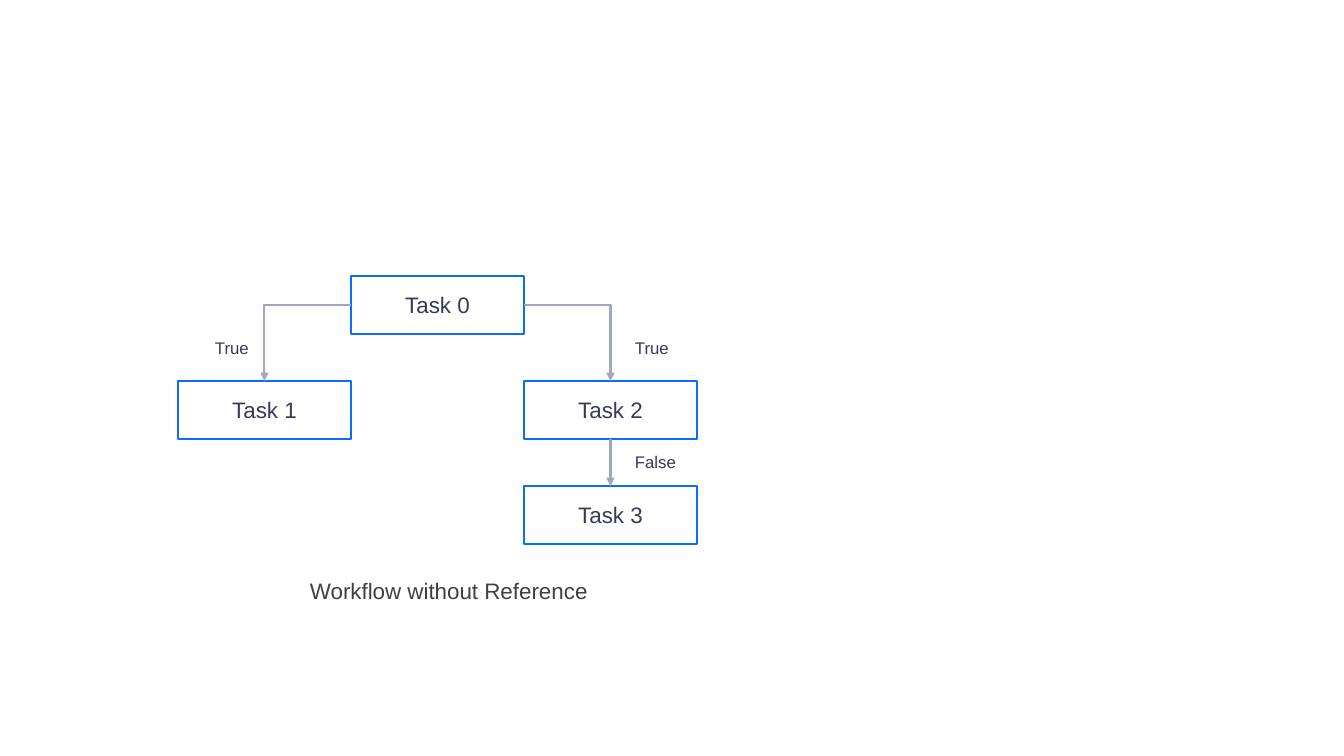
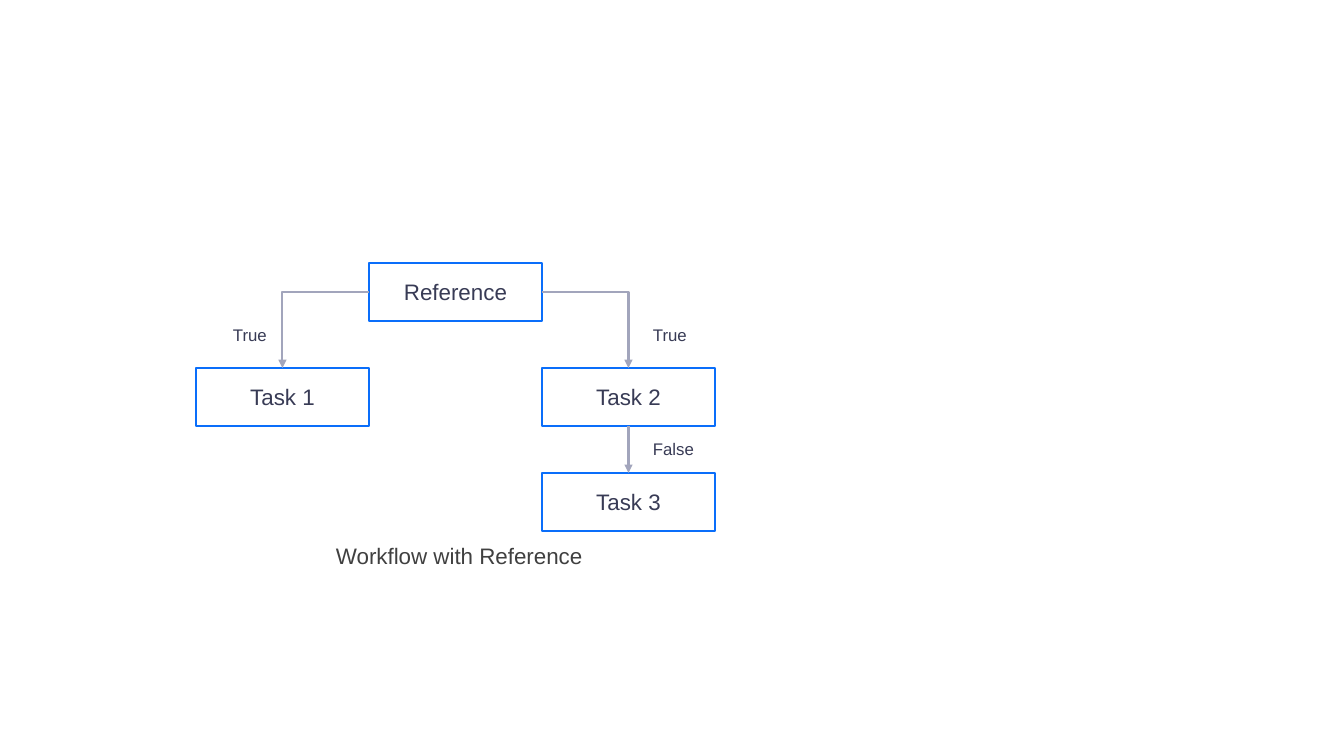
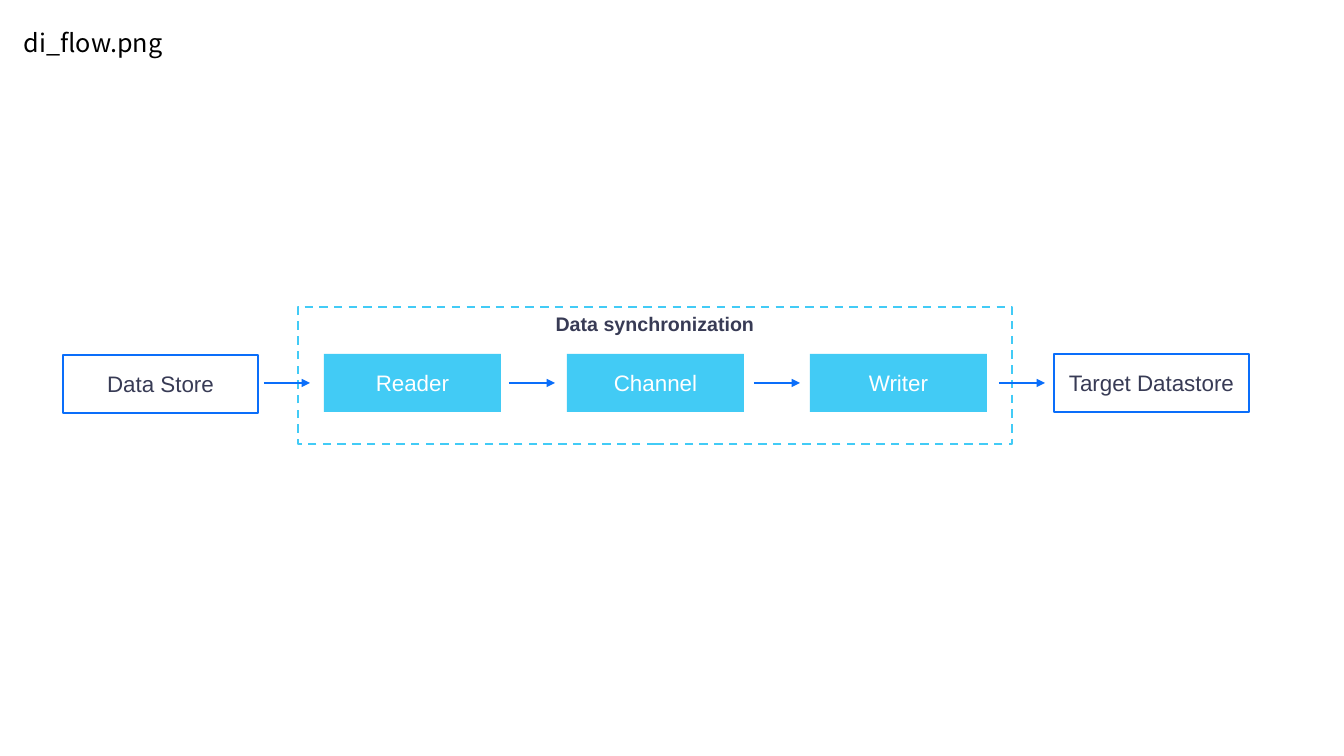
from lxml import etree
from pptx import Presentation
from pptx.dml.color import RGBColor
from pptx.enum.dml import MSO_LINE
from pptx.enum.shapes import MSO_CONNECTOR, MSO_SHAPE
from pptx.enum.text import MSO_ANCHOR, PP_ALIGN
from pptx.oxml.ns import qn
from pptx.util import Emu, Pt

# Shared constants
SCALE = 914400 / 100.8
RECT = MSO_SHAPE.RECTANGLE
STRAIGHT, ELBOW = MSO_CONNECTOR.STRAIGHT, MSO_CONNECTOR.ELBOW
DASH = MSO_LINE.DASH
TOP, MIDDLE = MSO_ANCHOR.TOP, MSO_ANCHOR.MIDDLE
LEFT, CENTER = PP_ALIGN.LEFT, PP_ALIGN.CENTER
SITE_TOP, SITE_LEFT, SITE_BOTTOM, SITE_RIGHT = range(4)
COLORS = {
    "blue": "0A6EFA", "cyan": "42CBF5", "dash": "42CBF6", "grey": "A2A5BC",
    "ink": "383B55", "note": "404040", "black": "000000", "white": "FFFFFF",
}
STROKE = Pt(1.5)


def px(*values):
    return [Emu(round(value * SCALE)) for value in values]


def color(name):
    return RGBColor.from_string(COLORS[name])


# Text and shapes
def write(shape, text, size=16, ink="ink", font="Arial", bold=False,
          align=LEFT, anchor=TOP):
    frame = shape.text_frame
    frame.word_wrap = True
    frame.vertical_anchor = anchor
    line = frame.paragraphs[0]
    line.alignment = align
    run = line.add_run()
    run.text = text
    run.font.size = Pt(size)
    run.font.name = font
    run.font.bold = bold
    run.font.color.rgb = color(ink)


def label(slide, text, left, top, width, height, **style):
    write(slide.shapes.add_textbox(*px(left, top, width, height)), text, **style)


def box(slide, text, left, top, width, height, fill=None, edge=None,
        dash=None, **style):
    shape = slide.shapes.add_shape(RECT, *px(left, top, width, height))
    shape.shadow.inherit = False
    if fill:
        shape.fill.solid()
        shape.fill.fore_color.rgb = color(fill)
    else:
        shape.fill.background()
    if edge:
        shape.line.color.rgb = color(edge)
        shape.line.width = STROKE
        if dash:
            shape.line.dash_style = dash
    else:
        shape.line.fill.background()
    write(shape, text, **{"align": CENTER, "anchor": MIDDLE, **style})
    return shape


# Arrows
def arrow(slide, start, end, ink, kind=STRAIGHT):
    line = slide.shapes.add_connector(kind, *px(*start, *end))
    line.line.color.rgb = color(ink)
    line.line.width = STROKE
    props = line._element.spPr
    etree.SubElement(props.find(qn("a:ln")), qn("a:tailEnd"), type="triangle")
    etree.SubElement(props, qn("a:effectLst"))
    if kind == ELBOW:
        props.find(qn("a:prstGeom")).set("prst", "bentConnector2")
    return line


def link(slide, source, exit_site, target, kind=STRAIGHT):
    line = arrow(slide, (0, 0), (0, 0), "grey", kind)
    line.begin_connect(source, exit_site)
    line.end_connect(target, SITE_TOP)


# Slides
def tree(slide, left, top, root, caption, note_left, note_top):
    wide, high, step = 173, 58, 105
    label(slide, caption, note_left, note_top, 303, 37, ink="note")
    for text, dx, dy in (("True", 27, 57), ("True", 447, 57), ("False", 447, 171)):
        label(slide, text, left + dx, top + dy, 86, 30, size=12)
    cells = ((root, 1, 0), ("Task 1", 0, 1), ("Task 2", 2, 1), ("Task 3", 2, 2))
    head, first, second, third = [
        box(slide, text, left + col * wide, top + row * step, wide, high,
            edge="blue")
        for text, col, row in cells
    ]
    link(slide, head, SITE_LEFT, first, ELBOW)
    link(slide, head, SITE_RIGHT, second, ELBOW)
    link(slide, second, SITE_BOTTOM, third)


def flow(slide):
    label(slide, "di_flow.png", 14, 22, 408, 40, size=18, ink="black",
          font="Noto Sans CJK SC")
    box(slide, "Data synchronization", 298, 307, 714, 137, edge="dash",
        dash=DASH, size=14, bold=True, anchor=TOP)
    box(slide, "Data Store", 63, 355, 195, 58, edge="blue")
    box(slide, "Target Datastore", 1054, 354, 195, 58, edge="blue")
    for i, text in enumerate(("Reader", "Channel", "Writer")):
        box(slide, text, 324 + 243 * i, 354, 177, 58, fill="cyan", ink="white")
    for i in range(4):
        start = 264 + 245 * i
        arrow(slide, (start, 383), (start + 46, 383), "blue")


def main():
    deck = Presentation()
    deck.slide_width, deck.slide_height = px(1344, 756)
    blank = deck.slide_layouts[6]
    tree(deck.slides.add_slide(blank), 178, 276, "Task 0",
         "Workflow without Reference", 300, 572)
    tree(deck.slides.add_slide(blank), 196, 263, "Reference",
         "Workflow with Reference", 326, 537)
    flow(deck.slides.add_slide(blank))
    deck.save("out.pptx")


main()
